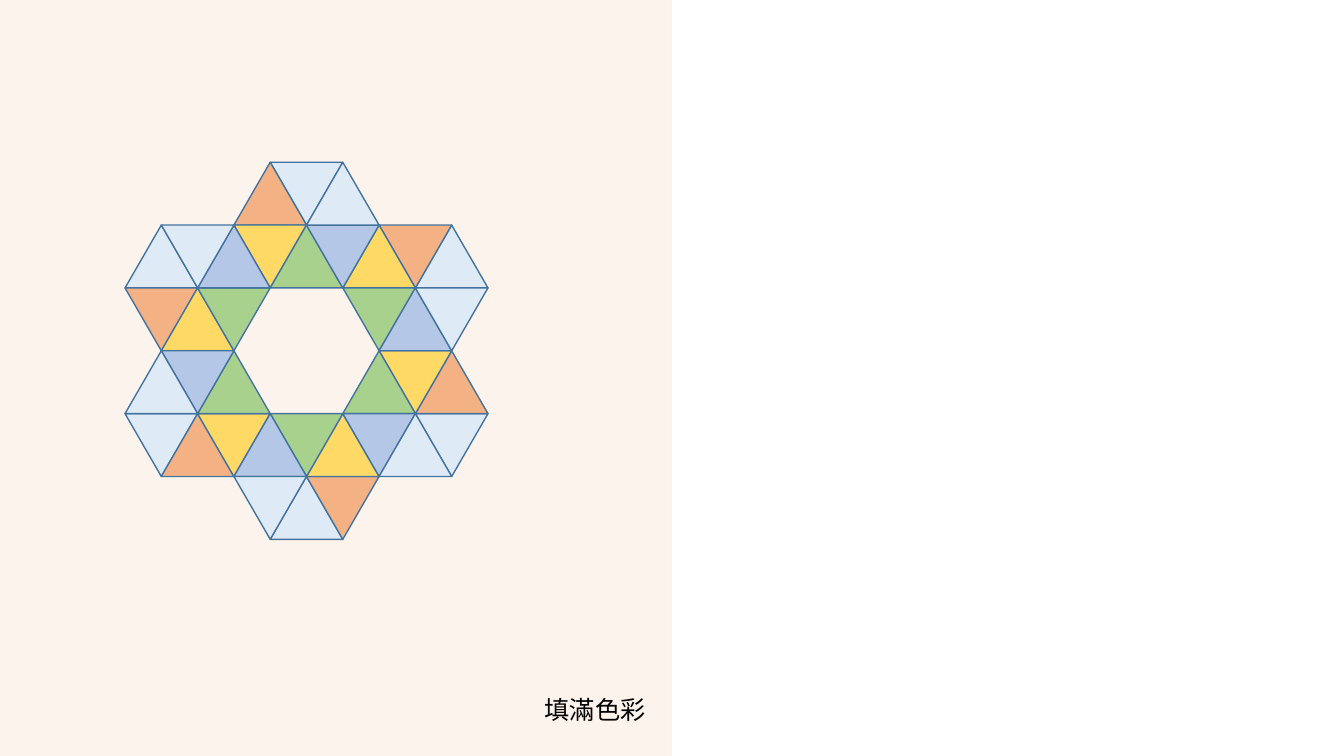
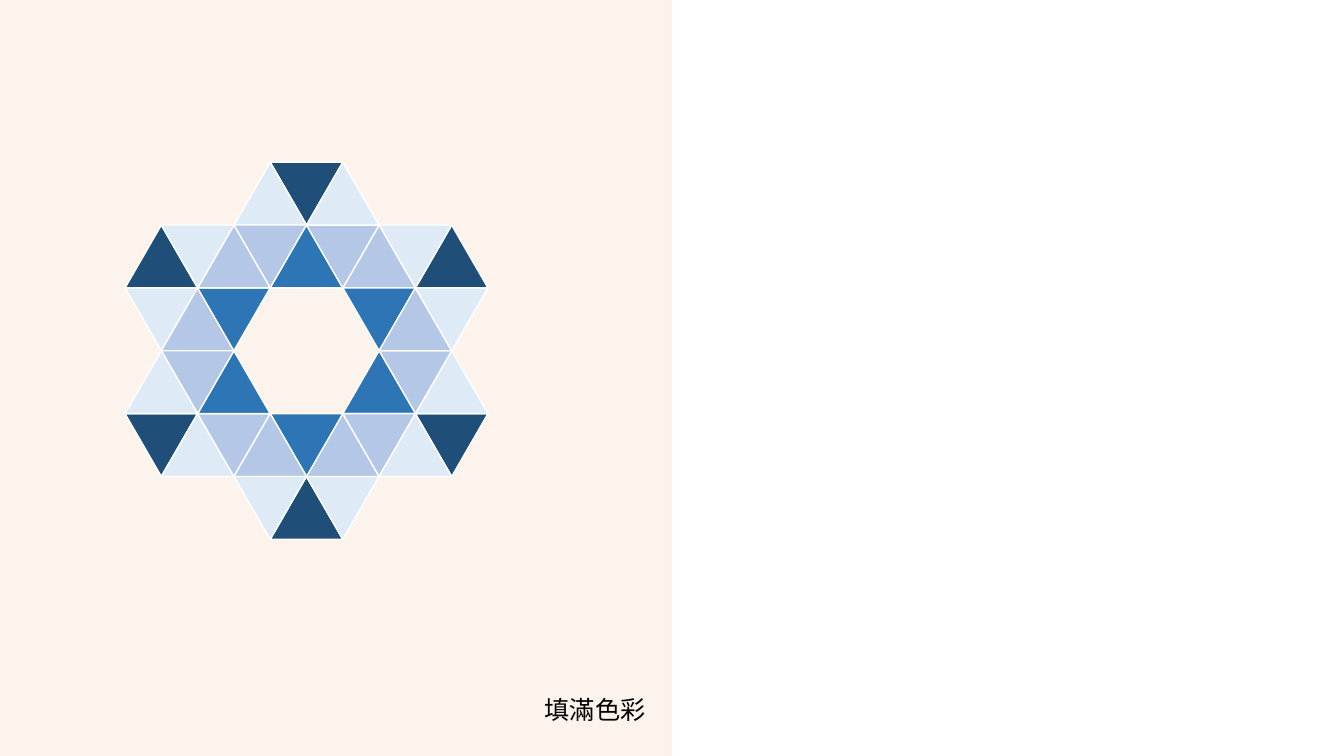
from math import cos, radians, sin, sqrt

from lxml import etree
from pptx import Presentation
from pptx.dml.color import RGBColor
from pptx.enum.shapes import MSO_CONNECTOR, MSO_SHAPE
from pptx.enum.text import MSO_AUTO_SIZE, PP_ALIGN
from pptx.oxml.ns import qn
from pptx.util import Inches, Pt

RECT = MSO_SHAPE.RECTANGLE
TRI = MSO_SHAPE.ISOSCELES_TRIANGLE
LINE = MSO_CONNECTOR.STRAIGHT
RIGHT = PP_ALIGN.RIGHT
GROW = MSO_AUTO_SIZE.SHAPE_TO_FIT_TEXT

ORANGE = RGBColor(0xF4, 0xB1, 0x83)
PEACH = RGBColor(0xFB, 0xE5, 0xD6)
ICE = RGBColor(0xDE, 0xEB, 0xF7)
GOLD = RGBColor(0xFF, 0xD9, 0x66)
GREEN = RGBColor(0xA9, 0xD1, 0x8E)
PALE = RGBColor(0xB4, 0xC7, 0xE7)
STEEL = RGBColor(0x43, 0x73, 0x9E)
NAVY = RGBColor(0x1F, 0x4E, 0x79)
BLUE = RGBColor(0x2E, 0x75, 0xB6)
WHITE = RGBColor(0xFF, 0xFF, 0xFF)
BLACK = RGBColor(0, 0, 0)

deck = Presentation()
deck.slide_width = Inches(13.33)
deck.slide_height = Inches(7.5)
wide, high = deck.slide_width, deck.slide_height
half = wide // 2

side = Inches(0.72)
rise = side * sqrt(3) / 2
mid_x, mid_y = Inches(3.04), Inches(3.48)

RINGS = [
    (0, 2.5, 0),
    (0.375, 2.25, 300),
    (0.375, 1.75, 240),
    (0, 1.5, 180),
    (-0.375, 1.75, 120),
    (-0.375, 2.25, 60),
]
SCHEMES = [
    (STEEL, [ICE, ORANGE, GOLD, GREEN, PALE, ICE]),
    (WHITE, [NAVY, ICE, PALE, BLUE, PALE, ICE]),
]
FONT = {"name": "Times New Roman", "size": Pt(18)}
FRAME = {"word_wrap": True, "auto_size": GROW}


def fade(shape, share):
    color = next(shape.element.spPr.iter(qn("a:srgbClr")))
    etree.SubElement(color, qn("a:alpha")).set("val", str(share * 1000))


blank = deck.slide_layouts[6]
for holder in list(blank.placeholders):
    holder.element.getparent().remove(holder.element)
pages = [deck.slides.add_slide(blank) for _ in SCHEMES]

panel = pages[0].shapes.add_shape(RECT, 0, 0, half, high)
panel.shadow.inherit = False
panel.fill.solid()
panel.fill.fore_color.rgb = ORANGE
panel.line.fill.background()
fade(panel, 14)

edge = pages[0].shapes.add_connector(LINE, half, high, half, 0)
edge.line.color.rgb = PEACH
edge.line.width = Pt(0.25)
fade(edge, 50)
etree.SubElement(edge.element.spPr, qn("a:effectLst"))

for part in (panel, edge):
    blank.shapes.element.append(part.element)

for page, (rim, fills) in zip(pages, SCHEMES):
    for (col, row, tilt), fill in zip(RINGS, fills):
        ring = page.shapes.add_group_shape()
        for step in range(6):
            turn = radians(60 * step)
            x = mid_x + col * side * cos(turn) + row * rise * sin(turn)
            y = mid_y - col * side * sin(turn) + row * rise * cos(turn)
            tile = ring.shapes.add_shape(
                TRI, round(x - side / 2), round(y - rise / 2), side, round(rise)
            )
            tile.rotation = (tilt - 60 * step) % 360
            tile.shadow.inherit = False
            tile.fill.solid()
            tile.fill.fore_color.rgb = fill
            tile.line.color.rgb = rim
            tile.line.width = Pt(1)

    label = page.shapes.add_textbox(
        Inches(3.19), Inches(6.84), Inches(3.31), Inches(0.4)
    )
    frame = label.text_frame
    for key, value in FRAME.items():
        setattr(frame, key, value)
    para = frame.paragraphs[0]
    para.alignment = RIGHT
    run = para.add_run()
    run.text = "填滿色彩"
    for key, value in FONT.items():
        setattr(run.font, key, value)
    run.font.color.rgb = BLACK

deck.save("out.pptx")
